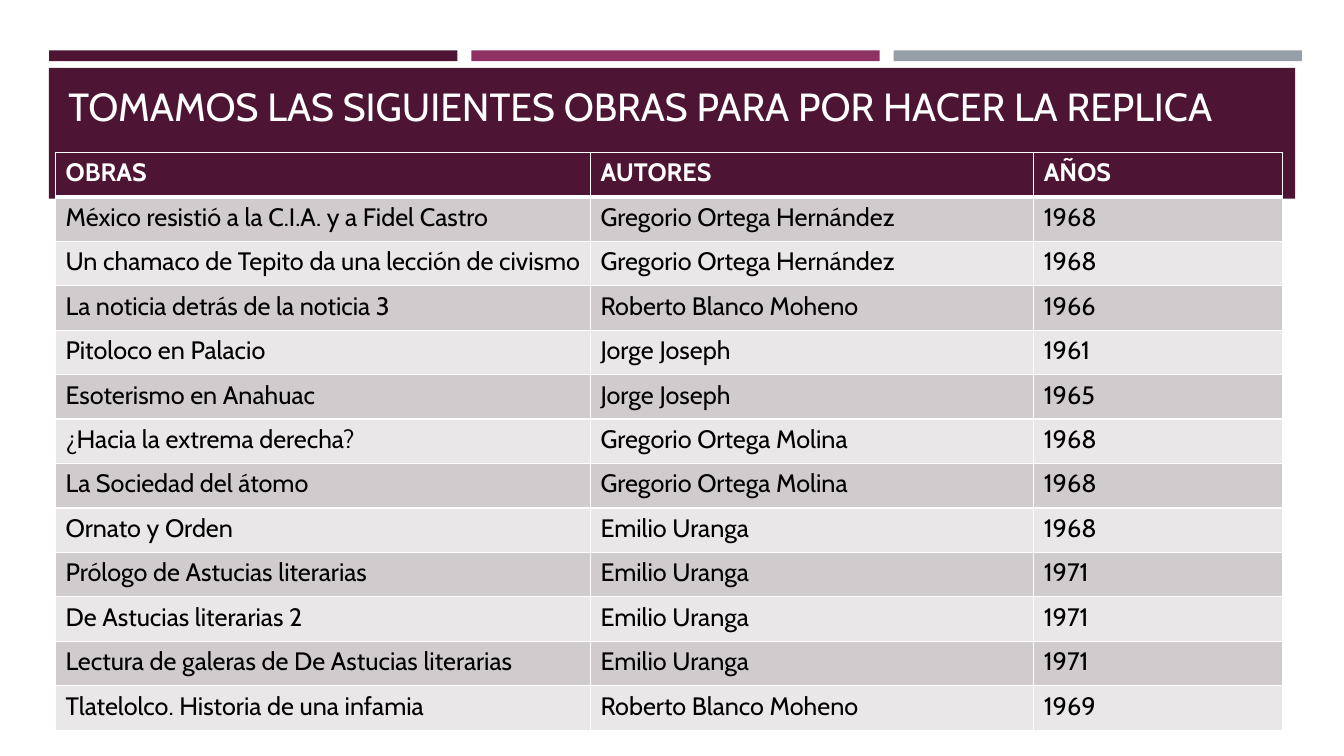
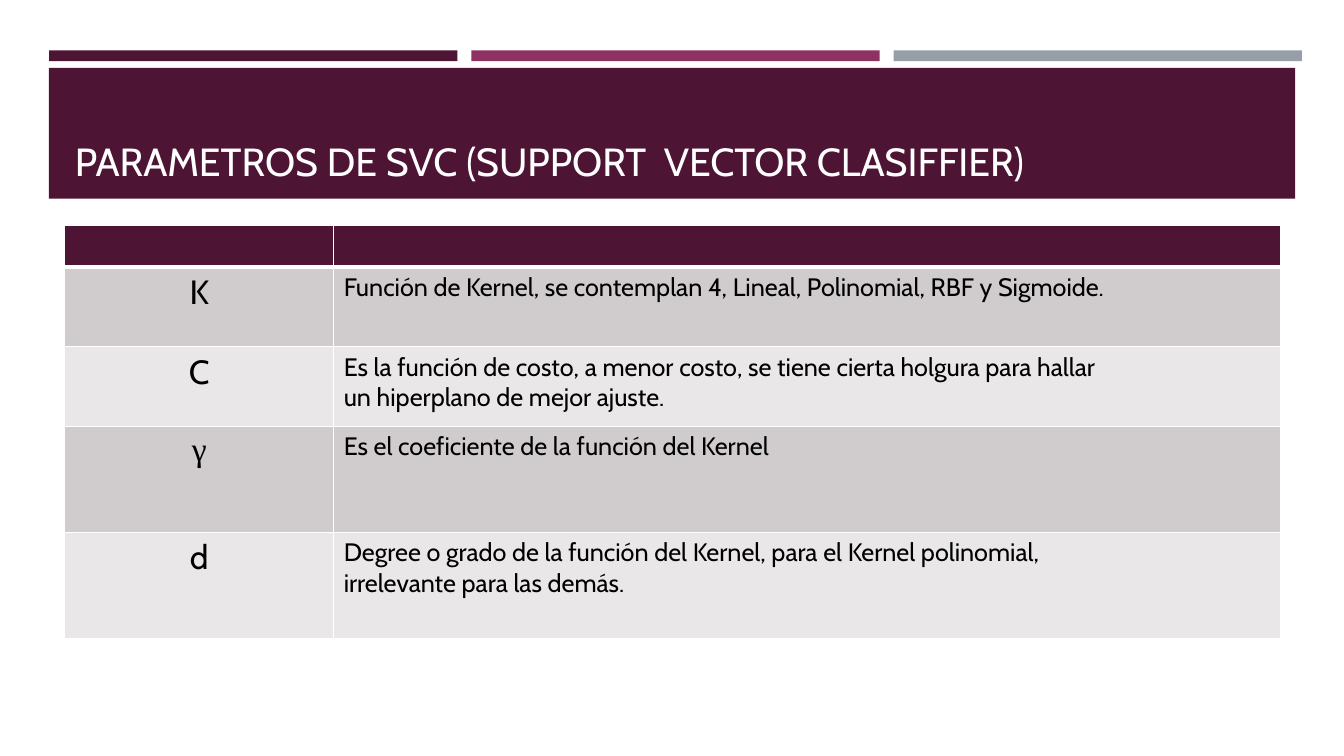
from lxml import etree
from pptx import Presentation
from pptx.dml.color import RGBColor
from pptx.enum import shapes, text
from pptx.oxml.ns import qn
from pptx.util import Cm, Pt

FONT = "Cabin"
PLUM, MAGENTA, GREY = "4D1434", "903163", "969FA7"
WHITE, BLACK = "FFFFFF", "000000"
ROW_FILLS = ["D0CCCE", "E9E7E8"]


def rgb(color):
    return RGBColor.from_string(color)


def add_table(s, left, top, widths, heights, rows, column_formats):
    """Plum header row, alternating body rows and white borders."""
    table = s.shapes.add_table(len(rows), len(widths), Cm(left), Cm(top),
                               Cm(sum(widths)), Cm(sum(heights))).table
    for column, width in zip(table.columns, widths):
        column.width = Cm(width)
    for i, (row, height) in enumerate(zip(rows, heights)):
        table.rows[i].height = Cm(height)
        for j, value in enumerate(row):
            cell = table.cell(i, j)
            cell.fill.solid()
            cell.fill.fore_color.rgb = rgb(ROW_FILLS[(i - 1) % 2] if i else PLUM)

            # Borders, with a thick rule under the header
            tcPr = cell._tc.get_or_add_tcPr()
            borders = {"a:lnL": 1, "a:lnR": 1, "a:lnT": 3 if i == 1 else 1,
                       "a:lnB": 3 if i == 0 else 1}
            for k, (tag, width) in enumerate(borders.items()):
                ln = etree.Element(qn(tag), w=str(Pt(width)))
                fill = etree.SubElement(ln, qn("a:solidFill"))
                etree.SubElement(fill, qn("a:srgbClr"), val=WHITE)
                tcPr.insert(k, ln)

            # Text
            size, align = column_formats[j] if i else (18, text.PP_ALIGN.LEFT)
            cell.text_frame.text = value
            for p in cell.text_frame.paragraphs:
                p.alignment = align
                name = "Times New Roman" if value == "γ" else FONT
                for key, val in {"name": name, "size": Pt(size), "bold": i == 0}.items():
                    setattr(p.font, key, val)
                    for r in p.runs:
                        setattr(r.font, key, val)
                for r in p.runs:
                    r.font.color.rgb = rgb(BLACK if i else WHITE)


prs = Presentation()
prs.slide_width, prs.slide_height = Cm(33.87), Cm(19.05)
layout = prs.slide_layouts[5]

# Titles: text, left, top, width, height
titles = [
    ("TOMAMOS LAS SIGUIENTES OBRAS PARA POR HACER LA REPLICA", 1.47, 1.3, 30.78, 2.1),
    ("PARAMETROS DE SVC (SUPPORT  VECTOR CLASIFFIER)", 1.63, 1.96, 30.63, 2.82),
]
slides = []
for title, *box in titles:
    s = prs.slides.add_slide(layout)
    slides.append(s)
    sp = s.shapes.title
    sp.left, sp.top, sp.width, sp.height = map(Cm, box)
    tf = sp.text_frame
    tf.text = title
    frame_format = {"word_wrap": True, "auto_size": text.MSO_AUTO_SIZE.NONE,
                    "vertical_anchor": text.MSO_ANCHOR.BOTTOM}
    for key, val in frame_format.items():
        setattr(tf, key, val)
    p = tf.paragraphs[0]
    p.alignment = text.PP_ALIGN.LEFT
    r = p.runs[0]
    for key, val in {"name": FONT, "size": Pt(28), "bold": False}.items():
        setattr(r.font, key, val)
    r.font.color.rgb = rgb(WHITE)

# Shared bands, moved to the layout so that they lie behind the titles
bands = [(1.24 + 10.64 * i, 1.27, 10.29, 0.27, color)
         for i, color in enumerate([PLUM, MAGENTA, GREY])]
bands.append((1.23, 1.71, 31.41, 3.3, PLUM))
for i, (*box, color) in enumerate(bands):
    sp = slides[0].shapes.add_shape(shapes.MSO_SHAPE.RECTANGLE, *map(Cm, box))
    sp.shadow.inherit = False
    sp.fill.solid()
    sp.fill.fore_color.rgb = rgb(color)
    sp.line.fill.background()
    layout.shapes._spTree.insert(2 + i, sp._element)

# Slide 1: works used
works = [
    ("OBRAS", "AUTORES", "AÑOS"),
    ("México resistió a la C.I.A. y a Fidel Castro", "Gregorio Ortega Hernández", "1968"),
    ("Un chamaco de Tepito da una lección de civismo", "Gregorio Ortega Hernández", "1968"),
    ("La noticia detrás de la noticia 3", "Roberto Blanco Moheno", "1966"),
    ("Pitoloco en Palacio", "Jorge Joseph", "1961"),
    ("Esoterismo en Anahuac", "Jorge Joseph", "1965"),
    ("¿Hacia la extrema derecha?", "Gregorio Ortega Molina", "1968"),
    ("La Sociedad del átomo", "Gregorio Ortega Molina", "1968"),
    ("Ornato y Orden", "Emilio Uranga", "1968"),
    ("Prólogo de Astucias literarias", "Emilio Uranga", "1971"),
    ("De Astucias literarias 2", "Emilio Uranga", "1971"),
    ("Lectura de galeras de De Astucias literarias", "Emilio Uranga", "1971"),
    ("Tlatelolco. Historia de una infamia", "Roberto Blanco Moheno", "1969"),
]
add_table(slides[0], 1.4, 3.84, [13.48, 11.17, 6.27], [1.12] * len(works), works,
          [(18, text.PP_ALIGN.LEFT)] * 3)

# Slide 2: classifier parameters
parameters = [
    ("", ""),
    ("K", "Función de Kernel, se contemplan 4, Lineal, Polinomial, RBF y Sigmoide."),
    ("C", "Es la función de costo, a menor costo, se tiene cierta holgura para hallar\n"
          "un hiperplano de mejor ajuste."),
    ("γ", "Es el coeficiente de la función del Kernel"),
    ("d", "Degree o grado de la función del Kernel, para el Kernel polinomial,\n"
          "irrelevante para las demás."),
]
add_table(slides[1], 1.63, 5.68, [6.78, 23.85], [1.05, 2.01, 2.01, 2.67, 2.67], parameters,
          [(24, text.PP_ALIGN.CENTER), (18, text.PP_ALIGN.LEFT)])

prs.save("out.pptx")
